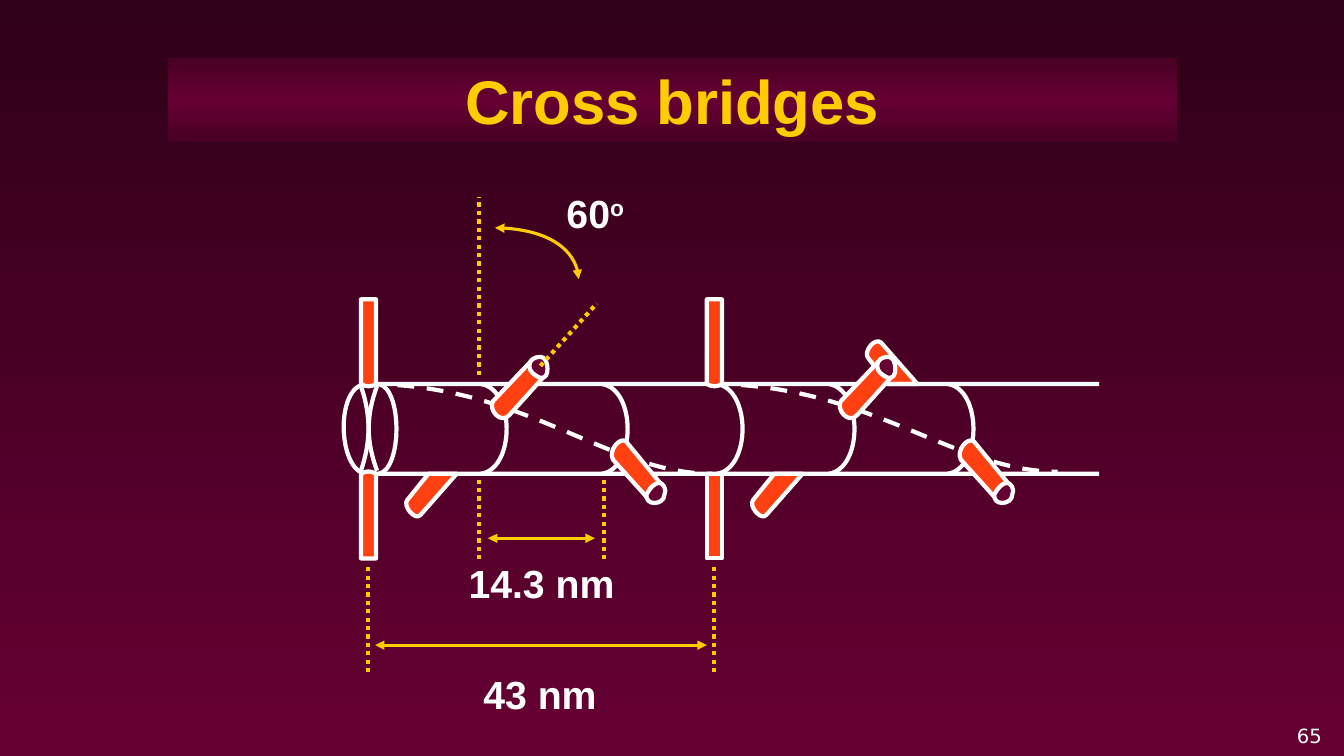
import copy

import pptx
import pptx.dml.color
import pptx.enum.dml
import pptx.enum.shapes
import pptx.enum.text
import pptx.oxml.ns
import pptx.util
from lxml import etree
from pptx.util import Inches

COLOURS = {
    "top": "2F0018",
    "bottom": "660033",
    "title_edge": "490024",
    "bridge": "FF4112",
    "outline": "FFFFFF",
    "measure": "FFCC00",
}
ALIGN = pptx.enum.text.PP_ALIGN
DASH = pptx.enum.dml.MSO_LINE
FRONT_REPEAT, BACK_REPEAT = 3.45, 3.43
TUBE_TOP, TUBE_BOTTOM = 3.81, 4.7


def rgb(name):
    return pptx.dml.color.RGBColor.from_string(COLOURS[name])


def apply_format(target, values):
    for attribute, value in values.items():
        setattr(target, attribute, value)


def fill_gradient(fill, names):
    fill.gradient()
    fill.gradient_angle = 270
    first = fill.gradient_stops[0]._gs
    for _ in names[2:]:
        first.addnext(copy.deepcopy(first))
    for index, (stop, name) in enumerate(zip(fill.gradient_stops, names)):
        stop.color.rgb = rgb(name)
        stop.position = index / (len(names) - 1)


def style_line(line, colour="outline", width=3, dash=None, arrows=False):
    line.color.rgb = rgb(colour)
    apply_format(line, {"width": pptx.util.Pt(width), "dash_style": dash})
    if arrows:
        for end in ("a:headEnd", "a:tailEnd"):
            etree.SubElement(line._get_or_add_ln(), pptx.oxml.ns.qn(end), type="triangle")


def bend_segments(outline, segments):
    steps = list(outline._element.iter(pptx.oxml.ns.qn("a:lnTo")))
    for segment in segments:
        count = len(segment) // 2
        corners, steps = steps[:count], steps[count:]
        if count == 3:
            contour = corners[0].getparent()
            curve = etree.SubElement(contour, pptx.oxml.ns.qn("a:cubicBezTo"))
            corners[0].addprevious(curve)
            for corner in corners:
                curve.append(corner[0])
                contour.remove(corner)


def add_outline(slide, start, segments, fill=None, shift=0, **line_format):
    points = [start]
    for segment in segments:
        points += zip(segment[::2], segment[1::2])
    placed = [(Inches(x + shift), Inches(y)) for x, y in points]
    builder = slide.shapes.build_freeform(*placed[0], scale=1.0)
    builder.add_line_segments(placed[1:], close=fill is not None)
    outline = builder.convert_to_shape()
    bend_segments(outline, segments)
    outline.shadow.inherit = False
    if fill:
        outline.fill.solid()
        outline.fill.fore_color.rgb = rgb(fill)
    else:
        outline.fill.background()
    style_line(outline.line, **line_format)


def add_measure(slide, start, end, **line_format):
    measure = slide.shapes.add_connector(
        pptx.enum.shapes.MSO_CONNECTOR.STRAIGHT, *map(Inches, start + end)
    )
    style_line(measure.line, "measure", **line_format)
    etree.SubElement(measure._element.spPr, pptx.oxml.ns.qn("a:effectLst"))


def write_text(frame, text, size, colour="outline", font="Arial", bold=True, align=ALIGN.CENTER):
    frame.word_wrap = True
    paragraph = frame.paragraphs[0]
    paragraph.alignment = align
    run = paragraph.add_run()
    run.text = text
    font_format = {"name": font, "size": pptx.util.Pt(size), "bold": bold}
    apply_format(run.font, font_format)
    run.font.color.rgb = rgb(colour)
    return run


def add_label(slide, box, text, size=28, **text_format):
    frame = slide.shapes.add_textbox(*map(Inches, box)).text_frame
    write_text(frame, text, size, **text_format)
    return frame


def add_title(slide):
    title = slide.shapes.add_shape(
        pptx.enum.shapes.MSO_SHAPE.RECTANGLE, *map(Inches, (1.67, 0.58, 10, 0.83))
    )
    title.shadow.inherit = False
    title.line.fill.background()
    fill_gradient(title.fill, ("title_edge", "bottom", "title_edge"))
    write_text(title.text_frame, "Cross bridges", 44, "measure")


def add_ring(slide, x, bow=0.34):
    add_outline(slide, (x, TUBE_TOP),
                [(x + bow, 3.86, x + bow, 4.65, x, TUBE_BOTTOM)])


def add_filament(slide):
    for start, end, low in ((3.65, 7.06, 4.7), (7.06, 10.49, 4.68)):
        add_outline(slide, (start, TUBE_TOP),
                    [(start + 1.56, TUBE_TOP, end - 1.03, low, end, low)],
                    dash=DASH.DASH)
    add_outline(slide, (10.9, TUBE_BOTTOM), [
        (3.63, TUBE_BOTTOM), (3.35, 4.67, 3.32, 3.83, 3.63, TUBE_TOP), (10.9, TUBE_TOP)])
    for x in (4.77, 5.97, 7.11, 8.22, 9.4):
        add_ring(slide, x)
    add_ring(slide, 3.76, 0.23)
    for x, bow in ((3.58, 0.1), (3.74, -0.11)):
        add_outline(slide, (x, 3.83), [(x + bow, 4.12, x + bow, 4.38, x, 4.67)])


def add_bridges(slide):
    for shift in (0, BACK_REPEAT):
        add_outline(slide, (3.58, 2.97), [
            (3.73, 2.97), (3.73, 3.81), (3.68, 3.84, 3.63, 3.84, 3.58, 3.81)],
            "bridge", shift)
        add_outline(slide, (4.25, 4.7), [
            (4.04, 4.96), (3.99, 5.02, 4.12, 5.17, 4.17, 5.11), (4.53, 4.7)],
            "bridge", shift)
    add_outline(slide, (3.58, 4.7), [
        (3.63, 4.67, 3.68, 4.67, 3.73, 4.7), (3.73, 5.54), (3.58, 5.54)], "bridge")
    lower = slide.shapes.add_shape(
        pptx.enum.shapes.MSO_SHAPE.RECTANGLE, *map(Inches, (7.01, 4.7, 0.15, 0.84)))
    lower.shadow.inherit = False
    lower.fill.solid()
    lower.fill.fore_color.rgb = rgb("bridge")
    style_line(lower.line)
    for shift in (0, FRONT_REPEAT):
        add_outline(slide, (6.57, 4.82), [
            (6.21, 4.38), (6.15, 4.33, 6.03, 4.47, 6.08, 4.56), (6.44, 4.96),
            (6.39, 4.88, 6.49, 4.76, 6.57, 4.82)], "bridge", shift)
        add_outline(slide, (6.54, 4.79), [
            (6.57, 4.79, 6.62, 4.85, 6.59, 4.91), (6.59, 4.96, 6.54, 4.99, 6.49, 4.99),
            (6.44, 4.99, 6.41, 4.96, 6.41, 4.91), (6.44, 4.85, 6.49, 4.79, 6.54, 4.79)],
            "bottom", shift)
        add_outline(slide, (5.28, 3.57), [
            (4.89, 3.98), (4.84, 4.07, 4.97, 4.21, 5.05, 4.12), (5.41, 3.72),
            (5.33, 3.78, 5.23, 3.69, 5.28, 3.57)], "bridge", shift)
        add_outline(slide, (5.25, 3.63), [
            (5.25, 3.57, 5.3, 3.54, 5.36, 3.54), (5.41, 3.54, 5.43, 3.6, 5.43, 3.66),
            (5.43, 3.72, 5.41, 3.75, 5.36, 3.75), (5.3, 3.72, 5.25, 3.69, 5.25, 3.63)],
            "bottom", shift)


def add_measures(slide):
    for start, end in (
        ((5.36, 3.63), (5.92, 3.01)),
        ((4.75, 3.72), (4.75, 1.95)),
        ((4.75, 5.55), (4.75, 4.76)),
        ((5.99, 5.55), (5.99, 4.76)),
        ((3.65, 6.67), (3.65, 5.6)),
        ((7.08, 6.67), (7.08, 5.6)),
    ):
        add_measure(slide, start, end, dash=DASH.ROUND_DOT)
    add_outline(slide, (4.91, 2.26), [(5.37, 2.26, 5.74, 2.49, 5.74, 2.77)],
                colour="measure", width=2.25, arrows=True)
    for left, right, y in ((4.84, 5.9, 5.34), (3.72, 7.01, 6.4)):
        add_measure(slide, (left, y), (right, y), width=2.25, arrows=True)
    angle = add_label(slide, (5.52, 1.83, 1.85, 0.57), "60", align=ALIGN.LEFT)
    degree = write_text(angle, "o", 28, align=ALIGN.LEFT)
    degree._r.get_or_add_rPr().set("baseline", "30000")
    add_label(slide, (4.48, 5.5, 1.78, 0.57), "14.3 nm")
    add_label(slide, (3.63, 6.6, 3.45, 0.57), "43 nm")


def main():
    deck = pptx.Presentation()
    apply_format(deck, {"slide_width": Inches(13.33), "slide_height": Inches(7.5)})
    slide = deck.slides.add_slide(deck.slide_layouts[6])
    fill_gradient(slide.background.fill, ("top", "bottom"))
    number = add_label(slide, (12.44, 6.92, 0.67, 0.5), "65", 14,
                       font="DejaVu Sans", bold=False, align=ALIGN.RIGHT)
    apply_format(number, dict.fromkeys(
        ("margin_left", "margin_right", "margin_top", "margin_bottom"), 0))
    number.vertical_anchor = pptx.enum.text.MSO_ANCHOR.BOTTOM
    add_outline(slide, (8.81, 3.81), [
        (8.61, 3.55), (8.56, 3.49, 8.68, 3.34, 8.74, 3.4), (9.1, 3.81)], "bridge")
    add_filament(slide)
    add_bridges(slide)
    add_measures(slide)
    add_title(slide)
    deck.save("out.pptx")


if __name__ == "__main__":
    main()
